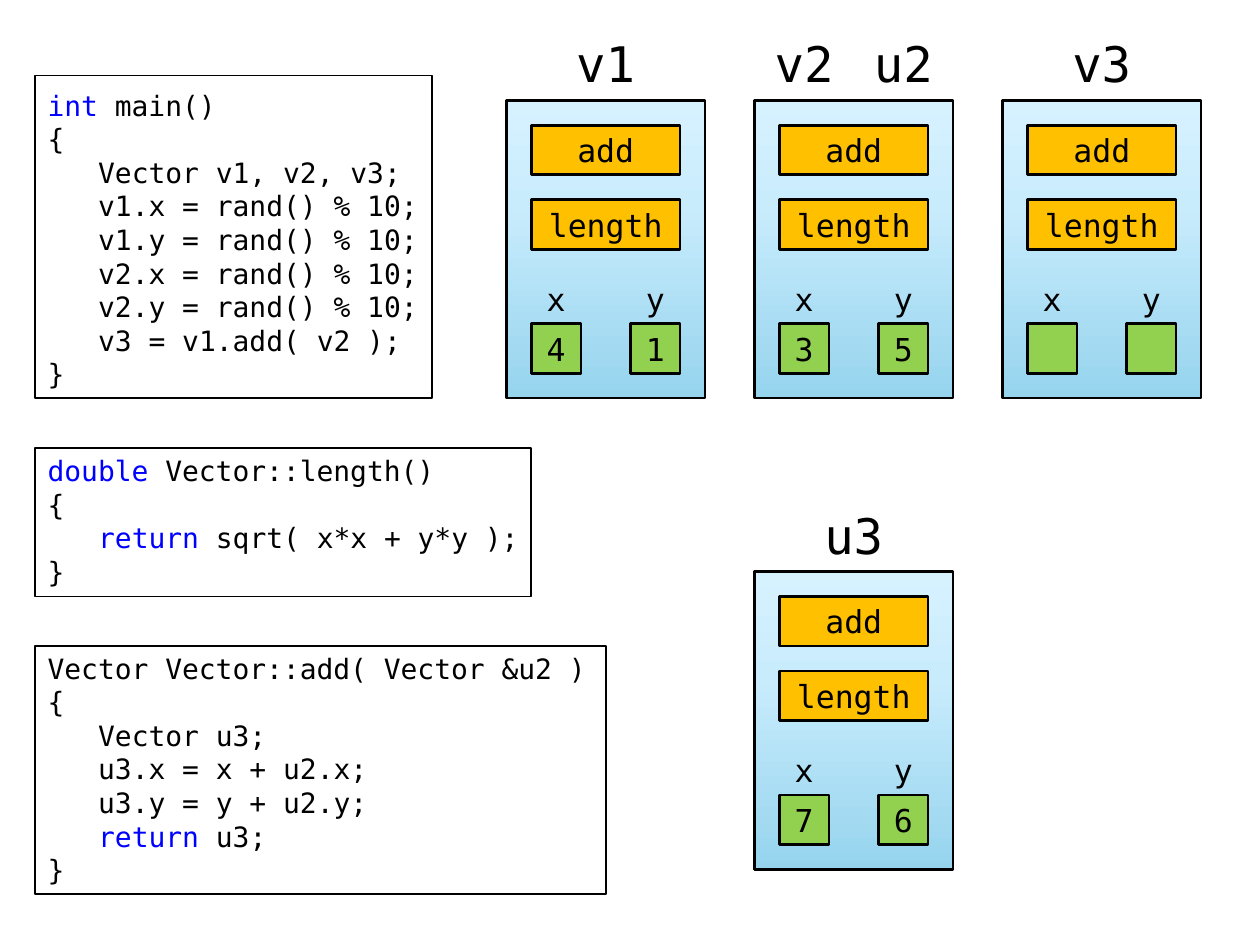
import copy
from dataclasses import dataclass
import pptx
import pptx.util
import pptx.dml.color
import pptx.enum.shapes
import pptx.enum.text
import pptx.oxml.ns


@dataclass(frozen=True)
class Theme:
    font: str = "DejaVu Sans Mono"
    ink: str = "000000"
    key: str = "0000FF"
    paper: str = "FFFFFF"
    method: str = "FFC000"
    field: str = "92D050"
    card: tuple = ((0, "96D4EE"), (0.65, "C9ECFC"), (1, "D7F2FF"))
    code: float = 16
    cell: float = 18
    name: float = 28
    thin: float = 1
    bold: float = 1.5
    indent: float = 28.9


THEME = Theme()
UNIT = pptx.util.Cm(0.5)
LEFT = pptx.util.Inches(0.28)
TOP = pptx.util.Inches(0.01)
KEYS = ("int", "double", "return")

MAIN = """int main()
{
   Vector v1, v2, v3;
   v1.x = rand() % 10;
   v1.y = rand() % 10;
   v2.x = rand() % 10;
   v2.y = rand() % 10;
   v3 = v1.add( v2 );
}"""
LENGTH = """double Vector::length()
{
   return sqrt( x*x + y*y );
}"""
ADD = """Vector Vector::add( Vector &u2 )
{
   Vector u3;
   u3.x = x + u2.x;
   u3.y = y + u2.y;
   return u3;
}"""


def rgb(code):
    return pptx.dml.color.RGBColor.from_string(code)


def place(col, row, wide, high):
    return LEFT + col * UNIT, TOP + row * UNIT, wide * UNIT, high * UNIT


def style(para, size, align):
    para.alignment = align
    para.font.name = THEME.font
    para.font.size = pptx.util.Pt(size)
    para.font.color.rgb = rgb(THEME.ink)


def label(shape, text, size):
    frame = shape.text_frame
    frame.word_wrap = True
    frame.vertical_anchor = pptx.enum.text.MSO_ANCHOR.MIDDLE
    frame.text = text
    style(frame.paragraphs[0], size, pptx.enum.text.PP_ALIGN.CENTER)


def note(slide, box, text, size):
    label(slide.shapes.add_textbox(*place(*box)), text, size)


def block(slide, box, width, fill=None):
    kind = pptx.enum.shapes.MSO_SHAPE.FLOWCHART_PROCESS
    shape = slide.shapes.add_shape(kind, *place(*box))
    shape.shadow.inherit = False
    shape.line.color.rgb = rgb(THEME.ink)
    shape.line.width = pptx.util.Pt(width)
    if fill:
        shape.fill.solid()
        shape.fill.fore_color.rgb = rgb(fill)
    return shape


def shade(shape):
    shape.fill.gradient()
    shape.fill.gradient_angle = 90
    stops = shape._element.spPr.find(".//" + pptx.oxml.ns.qn("a:gsLst"))
    stops.append(copy.deepcopy(stops[0]))
    for stop, (share, color) in zip(shape.fill.gradient_stops, THEME.card):
        stop.position = share
        stop.color.rgb = rgb(color)


def listing(slide, box, code, inset):
    frame = block(slide, box, THEME.thin, THEME.paper).text_frame
    frame.word_wrap = True
    frame.vertical_anchor = pptx.enum.text.MSO_ANCHOR.TOP
    frame.margin_top = frame.margin_bottom = pptx.util.Inches(inset)
    frame.margin_right = 0
    for i, line in enumerate(code.splitlines()):
        para = frame.add_paragraph() if i else frame.paragraphs[0]
        style(para, THEME.code, pptx.enum.text.PP_ALIGN.LEFT)
        text = line.lstrip()
        if text != line:
            para._p.get_or_add_pPr().set("marL", str(pptx.util.Pt(THEME.indent)))
        word, gap, rest = text.partition(" ")
        if word in KEYS:
            run = para.add_run()
            run.text = word
            run.font.color.rgb = rgb(THEME.key)
            text = gap + rest
        para.add_run().text = text


def card(slide, col, row, names, values):
    shade(block(slide, (col, row, 8, 12), THEME.bold))
    for i, name in enumerate(names):
        start = col + 4 - 2 * len(names) + 4 * i
        note(slide, (start, row - 3, 4, 3), name, THEME.name)
    for drop, name in ((1, "add"), (4, "length")):
        box = (col + 1, row + drop, 6, 2)
        label(block(slide, box, THEME.bold, THEME.method), name, THEME.cell)
    for step, name, value in zip((1, 5), "xy", values):
        note(slide, (col + step, row + 7, 2, 2), name, THEME.cell)
        box = (col + step, row + 9, 2, 2)
        cell = block(slide, box, THEME.bold, THEME.field)
        if value:
            label(cell, value, THEME.cell)


def main():
    deck = pptx.Presentation()
    deck.slide_width = pptx.util.Inches(10)
    deck.slide_height = pptx.util.Inches(7.5)
    slide = deck.slides.add_slide(deck.slide_layouts[6])
    listing(slide, (0, 3, 16, 13), MAIN, 0.1)
    listing(slide, (0, 18, 20, 6), LENGTH, 0.05)
    listing(slide, (0, 26, 23, 10), ADD, 0.04)
    card(slide, 19, 4, ("v1",), ("4", "1"))
    card(slide, 29, 4, ("v2", "u2"), ("3", "5"))
    card(slide, 39, 4, ("v3",), ("", ""))
    card(slide, 29, 23, ("u3",), ("7", "6"))
    deck.save("out.pptx")


if __name__ == "__main__":
    main()
